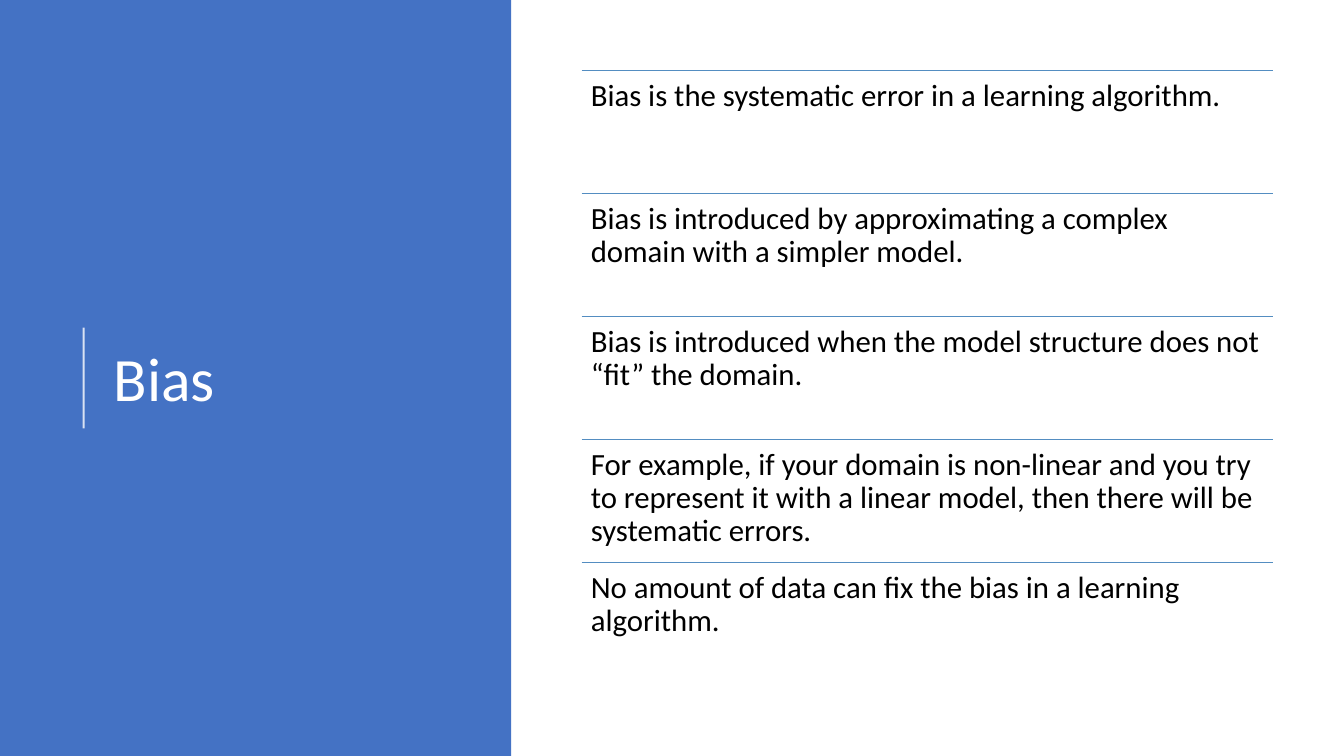
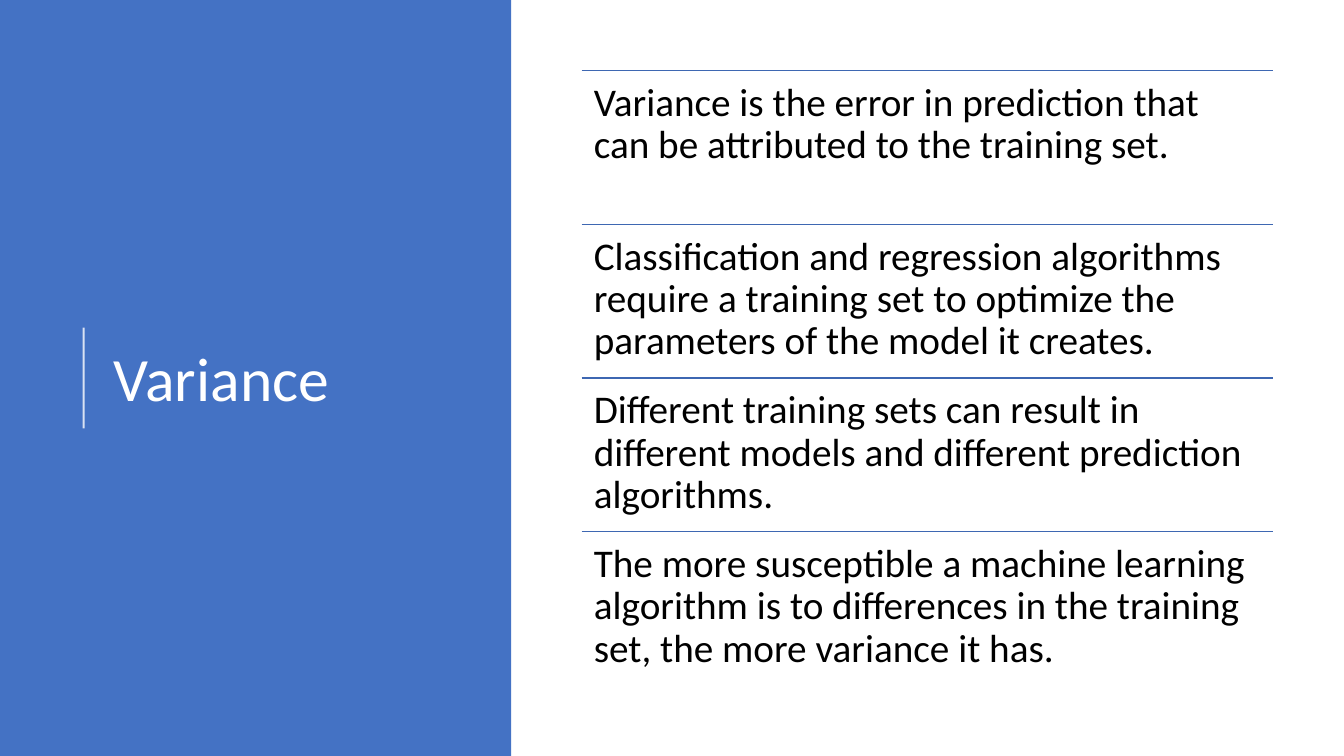
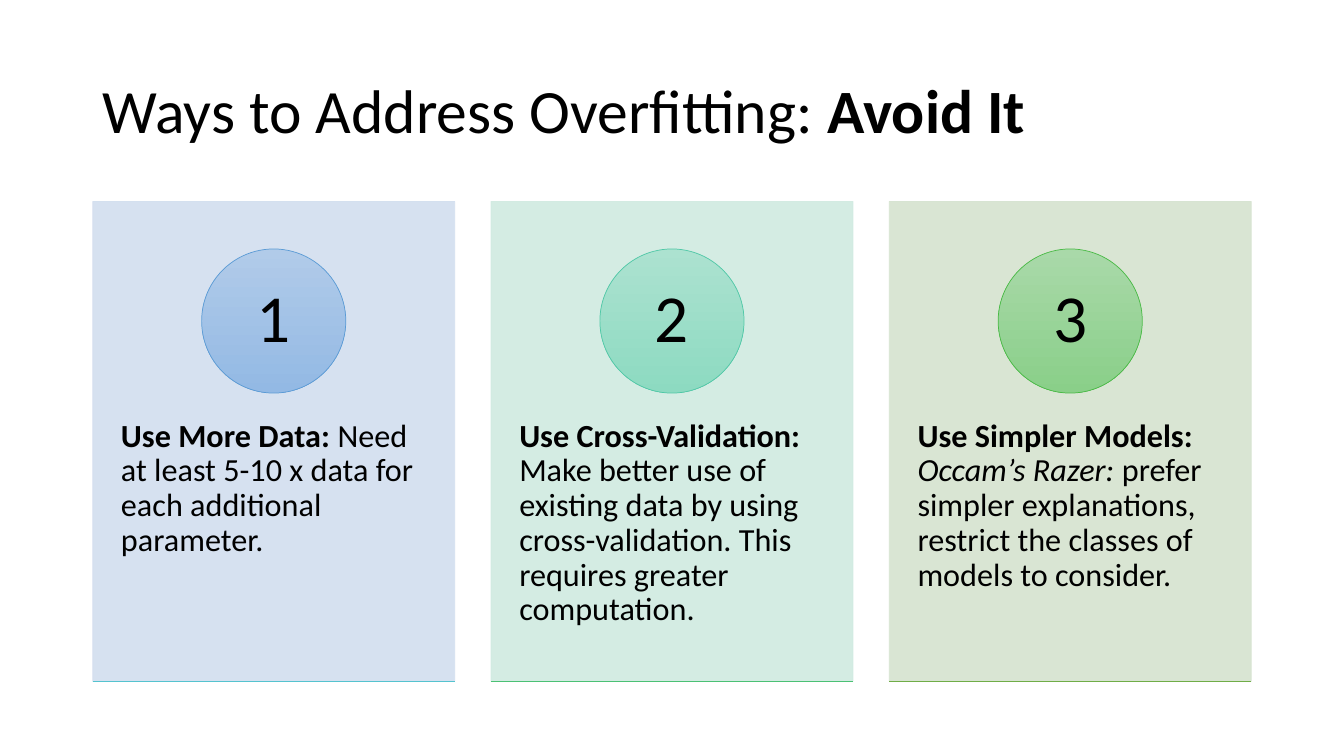
"""Build three slides on bias, variance and overfitting."""
import dataclasses
import typing

import lxml.etree
import pptx
import pptx.dml.color
import pptx.enum.shapes
import pptx.enum.text
import pptx.oxml.ns
import pptx.util

Inches = pptx.util.Inches
RGBColor = pptx.dml.color.RGBColor
MSO_SHAPE = pptx.enum.shapes.MSO_SHAPE
PP_ALIGN = pptx.enum.text.PP_ALIGN
MSO_ANCHOR = pptx.enum.text.MSO_ANCHOR
qn = pptx.oxml.ns.qn

FONT = "Calibri"
WHITE = RGBColor(0xFF, 0xFF, 0xFF)
BLACK = RGBColor(0x00, 0x00, 0x00)
PANEL_BLUE = RGBColor(0x44, 0x72, 0xC4)
BIAS_RULE = RGBColor(0x53, 0x8D, 0xC1)
VARIANCE_RULE = RGBColor(0x3E, 0x67, 0xB2)

SLIDE_WIDTH, SLIDE_HEIGHT = 13.33, 7.5
LIST_LEFT, LIST_TOP, LIST_WIDTH, LIST_HEIGHT = 5.77, 0.7, 6.86, 6.1
CARD_LEFT, CARD_TOP, CARD_WIDTH, CARD_HEIGHT, CARD_PITCH = 0.92, 2, 3.59, 4.76, 3.95
BADGE_TOP, BADGE_SIZE = 2.47, 1.43

Box = tuple[float, float, float, float]


@dataclasses.dataclass(frozen=True)
class Run:
    """A stretch of text with one emphasis."""
    text: str
    bold: bool = False
    italic: bool = False


@dataclasses.dataclass(frozen=True)
class Topic:
    """A ruled list of statements beside a titled panel."""
    title: str
    statements: tuple[str, ...]
    size: float
    inset: float
    rule_color: RGBColor
    rule_width: float


@dataclasses.dataclass(frozen=True)
class Card:
    """A numbered remedy and its colours."""
    runs: tuple[Run, ...]
    back: RGBColor
    badge_top: RGBColor
    badge_bottom: RGBColor
    badge_line: RGBColor
    base_line: RGBColor


TOPICS = (
    Topic("Bias", (
        "Bias is the systematic error in a learning algorithm.",
        "Bias is introduced by approximating a complex domain with a simpler model.",
        "Bias is introduced when the model structure does not “fit” the domain.",
        "For example, if your domain is non-linear and you try to represent it with a "
        "linear model, then there will be systematic errors.",
        "No amount of data can fix the bias in a learning algorithm.",
    ), 22, 0.09, BIAS_RULE, 0.5),
    Topic("Variance", (
        "Variance is the error in prediction that can be attributed to the training set.",
        "Classification and regression algorithms require a training set to optimize the "
        "parameters of the model it creates.",
        "Different training sets can result in different models and different prediction "
        "algorithms.",
        "The more susceptible a machine learning algorithm is to differences in the "
        "training set, the more variance it has.",
    ), 28, 0.12, VARIANCE_RULE, 1),
)

CARDS = (
    Card((Run("Use More Data: ", bold=True),
          Run("Need at least 5-10 x data for each additional parameter.")),
         RGBColor(0xD2, 0xDE, 0xEF), RGBColor(0xB1, 0xCB, 0xE9), RGBColor(0x93, 0xB9, 0xE4),
         RGBColor(0x5B, 0x9B, 0xD5), RGBColor(0x55, 0xC3, 0xCF)),
    Card((Run("Use Cross-Validation: ", bold=True),
          Run("Make better use of existing data by using cross-validation. "
              "This requires greater computation.")),
         RGBColor(0xD0, 0xEA, 0xE1), RGBColor(0xAC, 0xE2, 0xD0), RGBColor(0x8D, 0xDA, 0xC1),
         RGBColor(0x50, 0xC8, 0xA7), RGBColor(0x4B, 0xC1, 0x74)),
    Card((Run("Use Simpler Models: ", bold=True),
          Run("Occam’s Razer: ", italic=True),
          Run("prefer simpler explanations, restrict the classes of models to consider.")),
         RGBColor(0xD5, 0xE3, 0xCF), RGBColor(0xA9, 0xD9, 0xA9), RGBColor(0x8A, 0xCF, 0x89),
         RGBColor(0x4A, 0xBA, 0x46), RGBColor(0x70, 0xAD, 0x47)),
)


def write_text(frame, runs: typing.Iterable[Run], *, size: float, color: RGBColor = BLACK,
               align=PP_ALIGN.LEFT, anchor=MSO_ANCHOR.TOP,
               insets: Box = (0.1, 0.05, 0.1, 0.05)) -> None:
    """Fill a text frame with one formatted paragraph."""
    frame.word_wrap = True
    frame.vertical_anchor = anchor
    frame.margin_left, frame.margin_top, frame.margin_right, frame.margin_bottom = map(
        Inches, insets)
    paragraph = frame.paragraphs[0]
    paragraph.alignment = align
    paragraph.line_spacing = 0.9
    for run in runs:
        part = paragraph.add_run()
        part.text = run.text
        part.font.name = FONT
        part.font.size = pptx.util.Pt(size)
        part.font.color.rgb = color
        part.font.bold = run.bold
        part.font.italic = run.italic


def set_opacity(shape, percent: int) -> None:
    """Apply one opacity to the solid fill and line of a shape."""
    for color in shape.element.spPr.iter(qn("a:srgbClr")):
        lxml.etree.SubElement(color, qn("a:alpha"), val=str(percent * 1000))


def add_rule(slide, start: tuple[float, float], end: tuple[float, float],
             color: RGBColor, width: float):
    """Draw a straight line without a shadow."""
    rule = slide.shapes.add_connector(
        pptx.enum.shapes.MSO_CONNECTOR.STRAIGHT, *map(Inches, (*start, *end)))
    rule.line.color.rgb = color
    rule.line.width = pptx.util.Pt(width)
    lxml.etree.SubElement(rule.element.spPr, qn("a:effectLst"))
    return rule


def add_plain_shape(slide, kind, box: Box):
    """Add a preset shape without a shadow."""
    shape = slide.shapes.add_shape(kind, *map(Inches, box))
    shape.shadow.inherit = False
    return shape


def add_titled_slide(deck, runs: typing.Iterable[Run], box: Box, color: RGBColor = BLACK):
    """Add a title-only slide with its title placed and formatted."""
    slide = deck.slides.add_slide(deck.slide_layouts[5])
    title = slide.shapes.title
    title.left, title.top, title.width, title.height = map(Inches, box)
    write_text(title.text_frame, runs, size=44, color=color, anchor=MSO_ANCHOR.MIDDLE)
    return slide


def add_topic_slide(deck, topic: Topic) -> None:
    """Draw the side panel and the ruled statements of a topic."""
    slide = add_titled_slide(deck, [Run(topic.title)], (1.03, 0.78, 3.69, 6.02), WHITE)
    panel = add_plain_shape(slide, MSO_SHAPE.RECTANGLE, (0, 0, 5.07, SLIDE_HEIGHT))
    panel.fill.solid()
    panel.fill.fore_color.rgb = PANEL_BLUE
    panel.line.fill.background()
    slide.shapes.title.element.addprevious(panel.element)
    set_opacity(add_rule(slide, (0.83, 4.25), (0.83, 3.25), WHITE, 1.5), 80)

    row_height = LIST_HEIGHT / len(topic.statements)
    for index, statement in enumerate(topic.statements):
        top = LIST_TOP + index * row_height
        add_rule(slide, (LIST_LEFT, top), (LIST_LEFT + LIST_WIDTH, top),
                 topic.rule_color, topic.rule_width)
        row = slide.shapes.add_textbox(
            *map(Inches, (LIST_LEFT, top, LIST_WIDTH, row_height)))
        write_text(row.text_frame, [Run(statement)], size=topic.size,
                   insets=(topic.inset,) * 4)


def add_card(slide, card: Card, index: int) -> None:
    """Draw a card with its numbered badge and base line."""
    left = CARD_LEFT + index * CARD_PITCH
    back = add_plain_shape(slide, MSO_SHAPE.RECTANGLE,
                           (left, CARD_TOP, CARD_WIDTH, CARD_HEIGHT))
    back.fill.solid()
    back.fill.fore_color.rgb = card.back
    back.line.color.rgb = card.back
    back.line.width = pptx.util.Pt(0.5)
    set_opacity(back, 90)
    write_text(back.text_frame, card.runs, size=23, insets=(0.28, 2.16, 0.28, 0.36))

    badge = add_plain_shape(
        slide, MSO_SHAPE.OVAL,
        (left + (CARD_WIDTH - BADGE_SIZE) / 2, BADGE_TOP, BADGE_SIZE, BADGE_SIZE))
    badge.fill.gradient()
    badge.fill.gradient_angle = 270
    for stop, color in zip(badge.fill.gradient_stops, (card.badge_top, card.badge_bottom)):
        stop.color.rgb = color
    badge.line.color.rgb = card.badge_line
    badge.line.width = pptx.util.Pt(0.5)
    write_text(badge.text_frame, [Run(str(index + 1))], size=48, align=PP_ALIGN.CENTER,
               anchor=MSO_ANCHOR.MIDDLE, insets=(0.11, 0.01, 0.11, 0.01))

    bottom = CARD_TOP + CARD_HEIGHT
    add_rule(slide, (left, bottom), (left + CARD_WIDTH, bottom), card.base_line, 0.5)


def main() -> None:
    """Build and save the deck."""
    deck = pptx.Presentation()
    deck.slide_width, deck.slide_height = Inches(SLIDE_WIDTH), Inches(SLIDE_HEIGHT)
    for topic in TOPICS:
        add_topic_slide(deck, topic)
    remedies = add_titled_slide(
        deck, [Run("Ways to Address Overfitting: "), Run("Avoid It", bold=True)],
        (0.92, 0.4, 11.5, 1.45))
    for index, card in enumerate(CARDS):
        add_card(remedies, card, index)
    deck.save("out.pptx")


if __name__ == "__main__":
    main()
